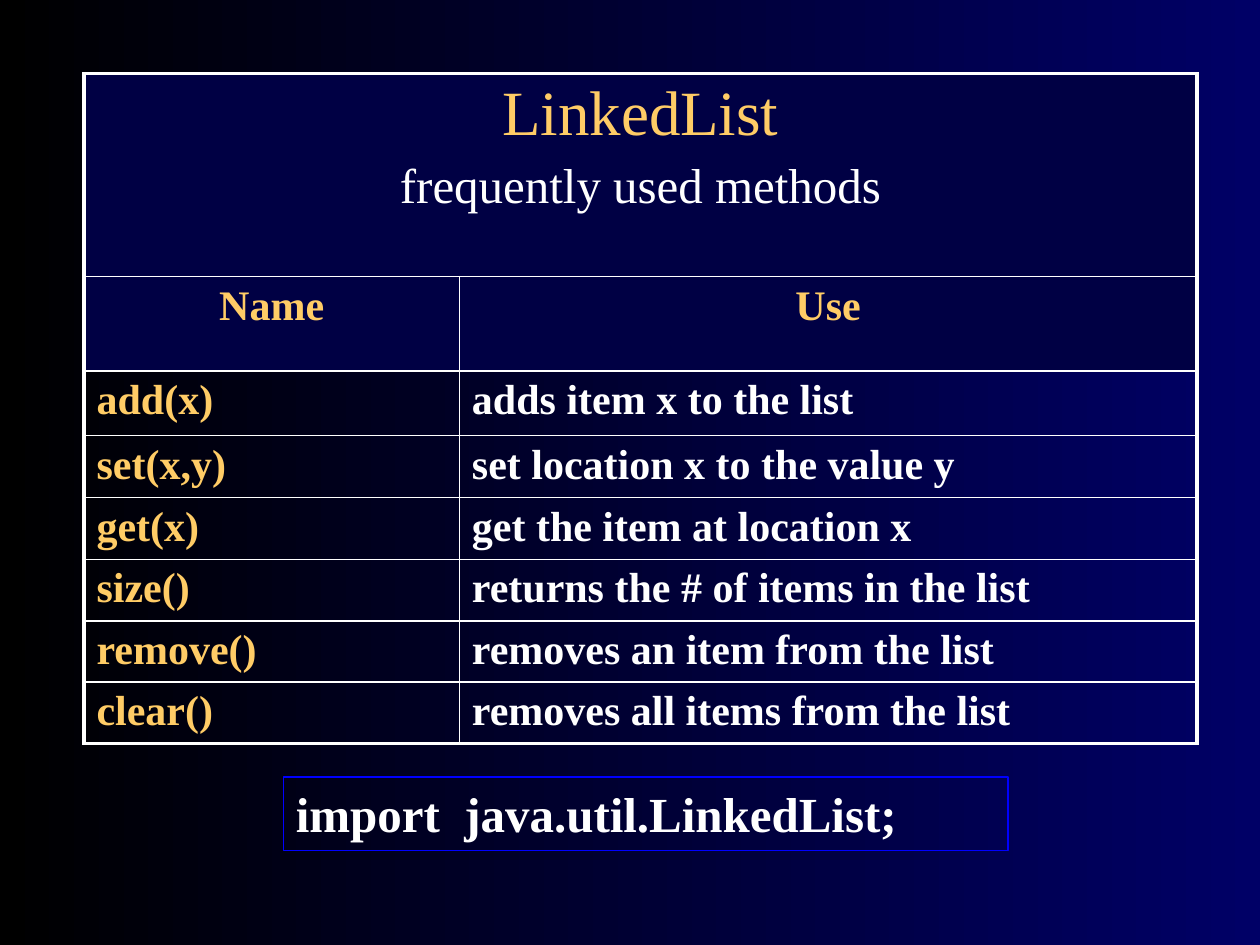
from lxml.etree import SubElement
from pptx import Presentation
from pptx.dml.color import RGBColor
from pptx.enum.text import MSO_AUTO_SIZE, PP_ALIGN
from pptx.oxml.ns import qn
from pptx.util import Pt

COLORS = {"black": "000000", "navy": "000066", "panel": "000044",
          "gold": "FFCC66", "white": "FFFFFF", "blue": "0000FF"}
FONT = "Times New Roman"
COLUMN_WIDTHS = [214.5, 421.5]
ROW_HEIGHTS = [116, 54, 37, 35.3, 35.3, 35.3, 35, 35]
HEADINGS = ["Name", "Use"]
METHODS = [
    ("add(x)", "adds item x to the list"),
    ("set(x,y)", "set location x to the value y"),
    ("get(x)", "get the item at location x"),
    ("size()", "returns the # of items in the list"),
    ("remove()", "removes an item from the list"),
    ("clear()", "removes all items from the list"),
]


def color(name):
    """Return the named colour."""
    return RGBColor.from_string(COLORS[name])


def write(para, text, size, tint, bold=True, align=None, spaced=True):
    """Write one formatted span into a paragraph."""
    if spaced:
        before = SubElement(para._p.get_or_add_pPr(), qn("a:spcBef"))
        SubElement(before, qn("a:spcPct"), val="20000")
    if align is not None:
        para.alignment = align
    span = para.add_run()
    span.text = text
    for name, value in {"name": FONT, "size": Pt(size), "bold": bold}.items():
        setattr(span.font, name, value)
    span.font.color.rgb = color(tint)


def border_cell(cell, widths):
    """Draw white cell borders, with widths keyed by side."""
    properties = cell._tc.get_or_add_tcPr()
    for side in "LRTB":
        line = SubElement(properties, qn(f"a:ln{side}"), w=str(Pt(widths[side])))
        fill = SubElement(line, qn("a:solidFill"))
        SubElement(fill, qn("a:srgbClr"), val=COLORS["white"])


def fill_cell(cell, row):
    """Fill the title solid and the headings half clear; leave the rest open."""
    if row > 1:
        cell.fill.background()
        return
    cell.fill.solid()
    cell.fill.fore_color.rgb = color("panel")
    if row == 1:
        tone = cell._tc.tcPr.find(f".//{qn('a:solidFill')}/{qn('a:srgbClr')}")
        SubElement(tone, qn("a:alpha"), val="50000")


def add_methods_table(page, left, top):
    """Add the table of list methods at the given corner."""
    rows, columns = len(ROW_HEIGHTS), len(COLUMN_WIDTHS)
    table = page.shapes.add_table(rows, columns, Pt(left), Pt(top),
                                  Pt(sum(COLUMN_WIDTHS)), Pt(sum(ROW_HEIGHTS))).table
    table.first_row = table.horz_banding = False
    for column, width in zip(table.columns, COLUMN_WIDTHS):
        column.width = Pt(width)
    for row, height in zip(table.rows, ROW_HEIGHTS):
        row.height = Pt(height)
    for row in range(rows):
        for column in range(columns):
            cell = table.cell(row, column)
            outer = {"L": column == 0, "R": column == columns - 1 or row == 0,
                     "T": row == 0, "B": row == rows - 1}
            border_cell(cell, {side: 2.25 if edge else 1 for side, edge in outer.items()})
            fill_cell(cell, row)

    title = table.cell(0, 0)
    title.merge(table.cell(0, columns - 1))
    frame = title.text_frame
    write(frame.paragraphs[0], "LinkedList", 36, "gold", False, PP_ALIGN.CENTER)
    write(frame.add_paragraph(), "frequently used methods", 28, "white", False, PP_ALIGN.CENTER)
    for row, texts in enumerate([HEADINGS, *METHODS], 1):
        for column, text in enumerate(texts):
            para = table.cell(row, column).text_frame.paragraphs[0]
            heading = row == 1
            write(para, text, 24, "gold" if heading or column == 0 else "white",
                  align=PP_ALIGN.CENTER if heading else None)


def add_import_box(page, left, top, width, height):
    """Add the outlined import statement in the given box."""
    box = page.shapes.add_textbox(Pt(left), Pt(top), Pt(width), Pt(height))
    box.line.color.rgb = color("blue")
    box.line.width = Pt(1)
    frame = box.text_frame
    frame.word_wrap = True
    frame.auto_size = MSO_AUTO_SIZE.SHAPE_TO_FIT_TEXT
    write(frame.paragraphs[0], "import  java.util.LinkedList;", 28, "white", spaced=False)


def paint_background(page):
    """Shade the page from black on the left to navy on the right."""
    fill = page.background.fill
    fill.gradient()
    fill.gradient_angle = 0
    for stop, position, name in zip(fill.gradient_stops, (0, 1), ("black", "navy")):
        stop.position = position
        stop.color.rgb = color(name)


def build_deck():
    """Build and save the deck."""
    deck = Presentation()
    deck.slide_width, deck.slide_height = Pt(720), Pt(540)
    page = deck.slides.add_slide(deck.slide_layouts[6])
    paint_background(page)
    add_methods_table(page, 48, 42)
    add_import_box(page, 162, 444, 414, 42)
    deck.save("out.pptx")


build_deck()
